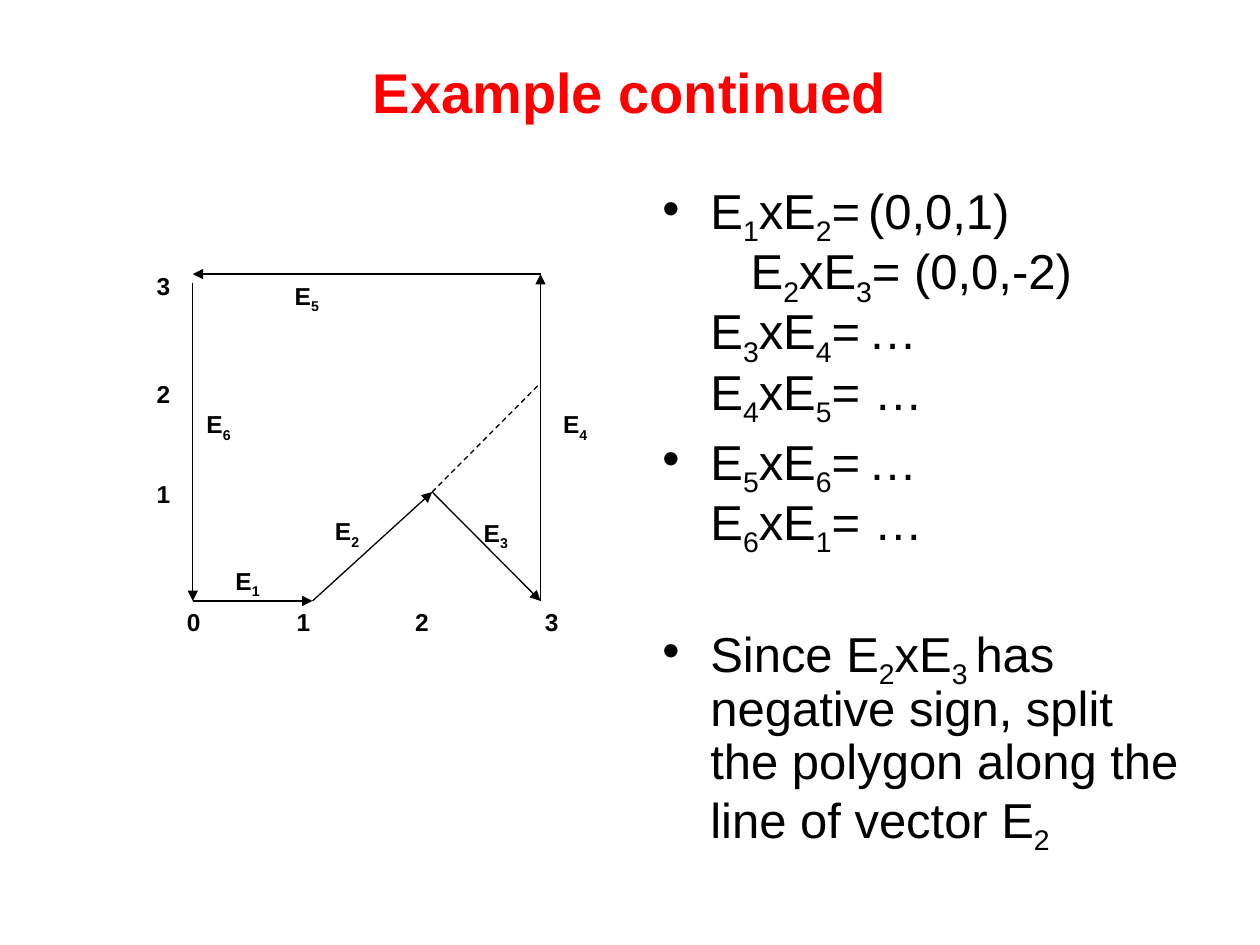
from dataclasses import dataclass

from lxml.etree import SubElement
from pptx import Presentation
from pptx.dml.color import RGBColor
from pptx.enum.dml import MSO_LINE
from pptx.enum.shapes import MSO_CONNECTOR
from pptx.enum.text import MSO_ANCHOR, PP_ALIGN
from pptx.oxml.ns import qn
from pptx.util import Inches, Pt


@dataclass(frozen=True)
class Theme:
    font: str = "Arial"
    title_color: RGBColor = RGBColor(0xFF, 0x00, 0x00)
    ink: RGBColor = RGBColor(0x00, 0x00, 0x00)
    title_size: int = 32
    body_size: int = 28
    label_size: int = 14
    line_width: float = 0.75


THEME = Theme()


def add_text_box(shapes, left, top, width, height):
    box = shapes.add_textbox(Inches(left), Inches(top), Inches(width), Inches(height))
    box.text_frame.word_wrap = True
    return box.text_frame


def write(paragraph, text, size, color=THEME.ink, bold=False):
    """Fill a paragraph; the character after each underscore is a subscript."""
    first, *rest = text.split("_")
    pieces = [(first, False)]
    for part in rest:
        pieces += [(part[0], True), (part[1:], False)]
    for piece, subscript in pieces:
        if not piece:
            continue
        run = paragraph.add_run()
        run.text = piece
        run.font.name = THEME.font
        run.font.size = Pt(size)
        run.font.bold = bold
        run.font.color.rgb = color
        if subscript:
            run.font._element.set("baseline", "-25000")


def add_title(slide, left, top, width, height):
    frame = add_text_box(slide.shapes, left, top, width, height)
    frame.vertical_anchor = MSO_ANCHOR.MIDDLE
    paragraph = frame.paragraphs[0]
    paragraph.alignment = PP_ALIGN.CENTER
    write(paragraph, "Example continued", THEME.title_size, THEME.title_color, True)


def add_cross_products(slide, left, top, width, height):
    margin, gap, section_gap = 0.38, 5.6, 41
    # Text, extra indent, space before (None continues the bullet above)
    lines = [
        ("E_1xE_2=_ (0,0,1)", 0, gap),
        ("E_2xE_3= (0,0,-2)", 0.32, None),
        ("E_3xE_4=_ …", 0, None),
        ("E_4xE_5= …", 0, None),
        ("E_5xE_6=_ …", 0, gap),
        ("E_6xE_1= …", 0, None),
        ("Since E_2xE_3_ has negative sign, split the polygon "
         "along the line of vector E_2", 0, section_gap),
    ]
    frame = add_text_box(slide.shapes, left, top, width, height)
    for index, (text, indent, space) in enumerate(lines):
        paragraph = frame.add_paragraph() if index else frame.paragraphs[0]
        paragraph.line_spacing = 0.9
        paragraph.space_before = Pt(space or 0)
        properties = paragraph._p.get_or_add_pPr()
        properties.set("marL", str(Inches(margin + indent)))
        if space is None:
            properties.set("indent", "0")
            SubElement(properties, qn("a:buNone"))
        else:
            properties.set("indent", str(-Inches(margin)))
            SubElement(properties, qn("a:buFont")).set("typeface", THEME.font)
            SubElement(properties, qn("a:buChar")).set("char", "•")
        write(paragraph, text, THEME.body_size)


def add_edge(shapes, start, end, dashed=False):
    edge = shapes.add_connector(
        MSO_CONNECTOR.STRAIGHT, *(Inches(value) for value in (*start, *end)))
    edge.line.color.rgb = THEME.ink
    edge.line.width = Pt(THEME.line_width)
    if dashed:
        edge.line.dash_style = MSO_LINE.DASH
    else:
        line = edge.line._get_or_add_ln()
        SubElement(line, qn("a:tailEnd")).set("type", "triangle")
    SubElement(edge._element.spPr, qn("a:effectLst"))


def add_label(shapes, text, left, top, width):
    frame = add_text_box(shapes, left, top, width, 0.33)
    paragraph = frame.paragraphs[0]
    paragraph.alignment = PP_ALIGN.RIGHT
    write(paragraph, text, THEME.label_size, bold=True)


def add_polygon(slide, left, top, width, height):
    shapes = slide.shapes.add_group_shape().shapes
    columns = [left + offset for offset in (0.63, 1.58, 2.53, 3.39)]
    base = top + height - 0.33
    rows = [base - step * 0.865 for step in range(4)]

    def point(column, row):
        return columns[column], rows[row]

    # Polygon edges, E6 first and then E1 to E5
    corners = [point(0, 0), point(1, 0), point(2, 1), point(3, 0), point(3, 3), point(0, 3)]
    add_edge(shapes, (columns[0], rows[3] + 0.07), corners[0])
    for start, end in zip(corners, corners[1:]):
        add_edge(shapes, start, end)

    # Edge names
    edge_labels = [(0.79, 2.34), (1.58, 1.95), (2.76, 1.96),
                   (3.39, 1.1), (1.26, 0.08), (0.56, 1.1)]
    for number, (x, y) in enumerate(edge_labels, 1):
        add_label(shapes, f"E_{number}", left + x, top + y, 0.47)

    # Axis numbers
    for number, x in enumerate((0.24, 1.11, 2.05, 3.08)):
        add_label(shapes, str(number), left + x, base, 0.55)
    for number, y in enumerate((1.65, 0.86, 0), 1):
        add_label(shapes, str(number), left, top + y, 0.55)

    # Split line that extends E2
    add_edge(shapes, point(2, 1), point(3, 2), dashed=True)


def main():
    presentation = Presentation()
    presentation.slide_width = Inches(10)
    presentation.slide_height = Inches(7.5)
    slide = presentation.slides.add_slide(presentation.slide_layouts[6])
    add_title(slide, 0.5, 0.3, 9, 0.85)
    add_cross_products(slide, 5.16, 1.39, 4.34, 5.31)
    add_polygon(slide, 0.9, 2.1, 3.86, 3)
    presentation.save("out.pptx")


if __name__ == "__main__":
    main()
